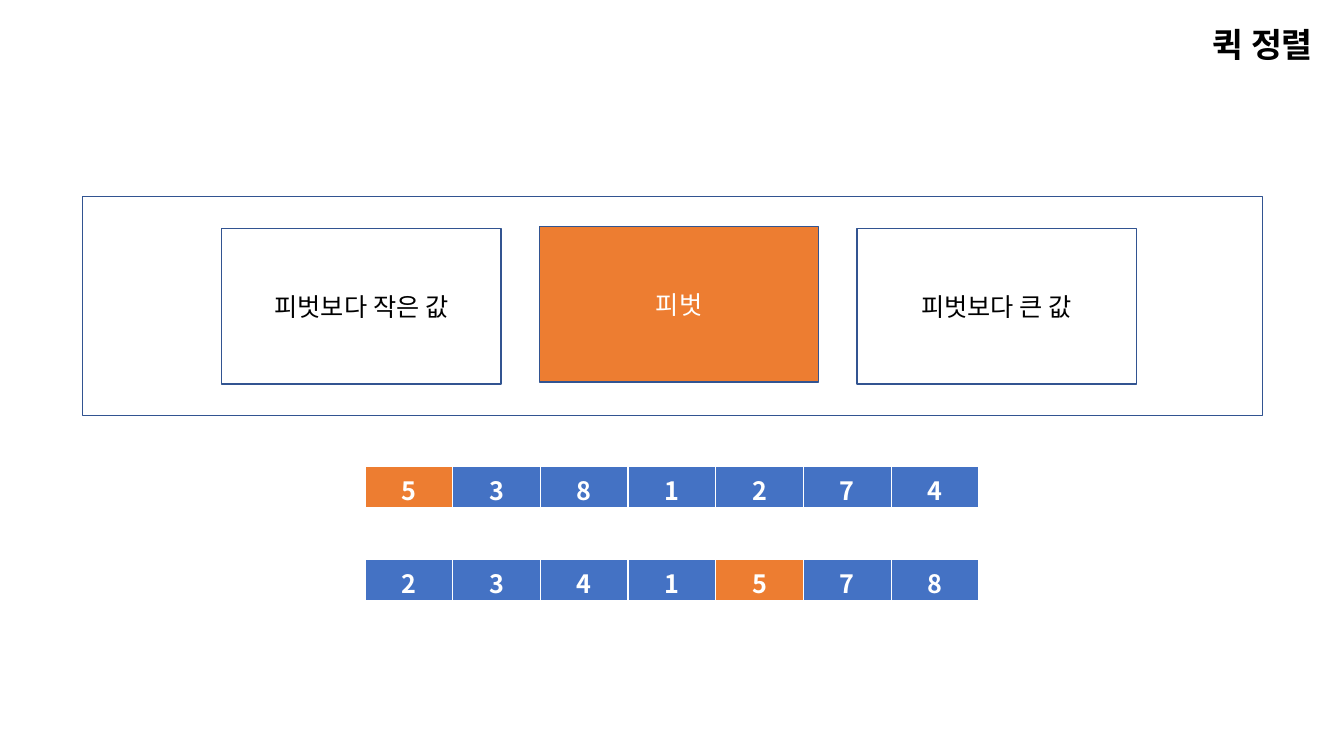
from typing import NamedTuple, Optional

from lxml import etree
from pptx import Presentation
from pptx.dml.color import RGBColor
from pptx.enum.shapes import MSO_SHAPE
from pptx.enum.text import MSO_ANCHOR, PP_ALIGN
from pptx.oxml.ns import qn
from pptx.slide import Slide
from pptx.table import _Cell
from pptx.text.text import TextFrame
from pptx.util import Inches, Pt

FONT_NAME = "Noto Sans CJK KR"
BLACK = RGBColor(0x00, 0x00, 0x00)
WHITE = RGBColor(0xFF, 0xFF, 0xFF)
BLUE = RGBColor(0x44, 0x72, 0xC4)
ORANGE = RGBColor(0xED, 0x7D, 0x31)
OUTLINE = RGBColor(0x32, 0x54, 0x91)
PROCESS = MSO_SHAPE.FLOWCHART_PROCESS
CENTER, RIGHT = PP_ALIGN.CENTER, PP_ALIGN.RIGHT
MIDDLE = MSO_ANCHOR.MIDDLE

BOX_WIDTH, BOX_HEIGHT = 2.77, 1.54
ARRAY_LEFT, CELL_WIDTH, CELL_HEIGHT = 3.62, 0.87, 0.41
PIVOT = 5


class Box(NamedTuple):
    """A process box, measured in inches."""
    left: float
    top: float
    width: float = BOX_WIDTH
    height: float = BOX_HEIGHT
    text: str = ""
    text_color: RGBColor = BLACK
    fill: Optional[RGBColor] = None


class NumberArray(NamedTuple):
    """One state of the array being sorted."""
    top: float
    values: list[int]


BOXES = [
    Box(2.2, 2.27, text="피벗보다 작은 값"),
    Box(0.82, 1.95, 11.7, 2.17),
    Box(5.35, 2.25, text="피벗", text_color=WHITE, fill=ORANGE),
    Box(8.5, 2.27, text="피벗보다 큰 값"),
]
ARRAYS = [
    NumberArray(4.63, [5, 3, 8, 1, 2, 7, 4]),
    NumberArray(5.55, [2, 3, 4, 1, 5, 7, 8]),
]


def write_text(frame: TextFrame, text: str, size: int, color: RGBColor,
               bold: bool = False, alignment: PP_ALIGN = CENTER) -> None:
    """Write one styled paragraph, with the font set for Korean too."""
    paragraph = frame.paragraphs[0]
    paragraph.text = text
    paragraph.alignment = alignment
    font = paragraph.font
    font.name, font.size, font.bold = FONT_NAME, Pt(size), bold
    font.color.rgb = color
    properties = paragraph._p.pPr.find(qn("a:defRPr"))
    etree.SubElement(properties, qn("a:ea"), typeface=FONT_NAME)


def add_title(slide: Slide, text: str) -> None:
    """Add the title at the top right."""
    shape = slide.shapes.add_textbox(Inches(9.98), Inches(0.19), Inches(3.14), Inches(0.5))
    shape.text_frame.word_wrap = True
    write_text(shape.text_frame, text, 24, BLACK, bold=True, alignment=RIGHT)


def add_box(slide: Slide, box: Box) -> None:
    """Draw an outlined process box with its label, if any."""
    shape = slide.shapes.add_shape(PROCESS, Inches(box.left), Inches(box.top),
                                   Inches(box.width), Inches(box.height))
    shape.shadow.inherit = False
    shape.line.color.rgb = OUTLINE
    shape.line.width = Pt(1)
    if box.fill is None:
        shape.fill.background()
    else:
        shape.fill.solid()
        shape.fill.fore_color.rgb = box.fill
    if box.text:
        shape.text_frame.word_wrap = True
        shape.text_frame.vertical_anchor = MIDDLE
        write_text(shape.text_frame, box.text, 18, box.text_color)


def add_side_borders(cell: _Cell) -> None:
    """Give a cell white left and right borders."""
    properties = cell._tc.get_or_add_tcPr()
    for index, tag in enumerate(("a:lnL", "a:lnR")):
        border = etree.Element(qn(tag), w=str(Pt(1)))
        fill = etree.SubElement(border, qn("a:solidFill"))
        etree.SubElement(fill, qn("a:srgbClr"), val=str(WHITE))
        properties.insert(index, border)


def add_array(slide: Slide, array: NumberArray) -> None:
    """Draw an array as a one-row table with the pivot highlighted."""
    count = len(array.values)
    table = slide.shapes.add_table(1, count, Inches(ARRAY_LEFT), Inches(array.top),
                                   Inches(CELL_WIDTH * count), Inches(CELL_HEIGHT)).table
    table.first_row = table.horz_banding = False
    for column, value in enumerate(array.values):
        cell = table.cell(0, column)
        cell.fill.solid()
        cell.fill.fore_color.rgb = ORANGE if value == PIVOT else BLUE
        add_side_borders(cell)
        write_text(cell.text_frame, str(value), 18, WHITE, bold=True)


def main() -> None:
    """Build and save the quick sort slide."""
    presentation = Presentation()
    presentation.slide_width = Inches(13.33)
    presentation.slide_height = Inches(7.5)
    slide = presentation.slides.add_slide(presentation.slide_layouts[6])
    add_title(slide, "퀵 정렬")
    for box in BOXES:
        add_box(slide, box)
    for array in ARRAYS:
        add_array(slide, array)
    presentation.save("out.pptx")


main()
